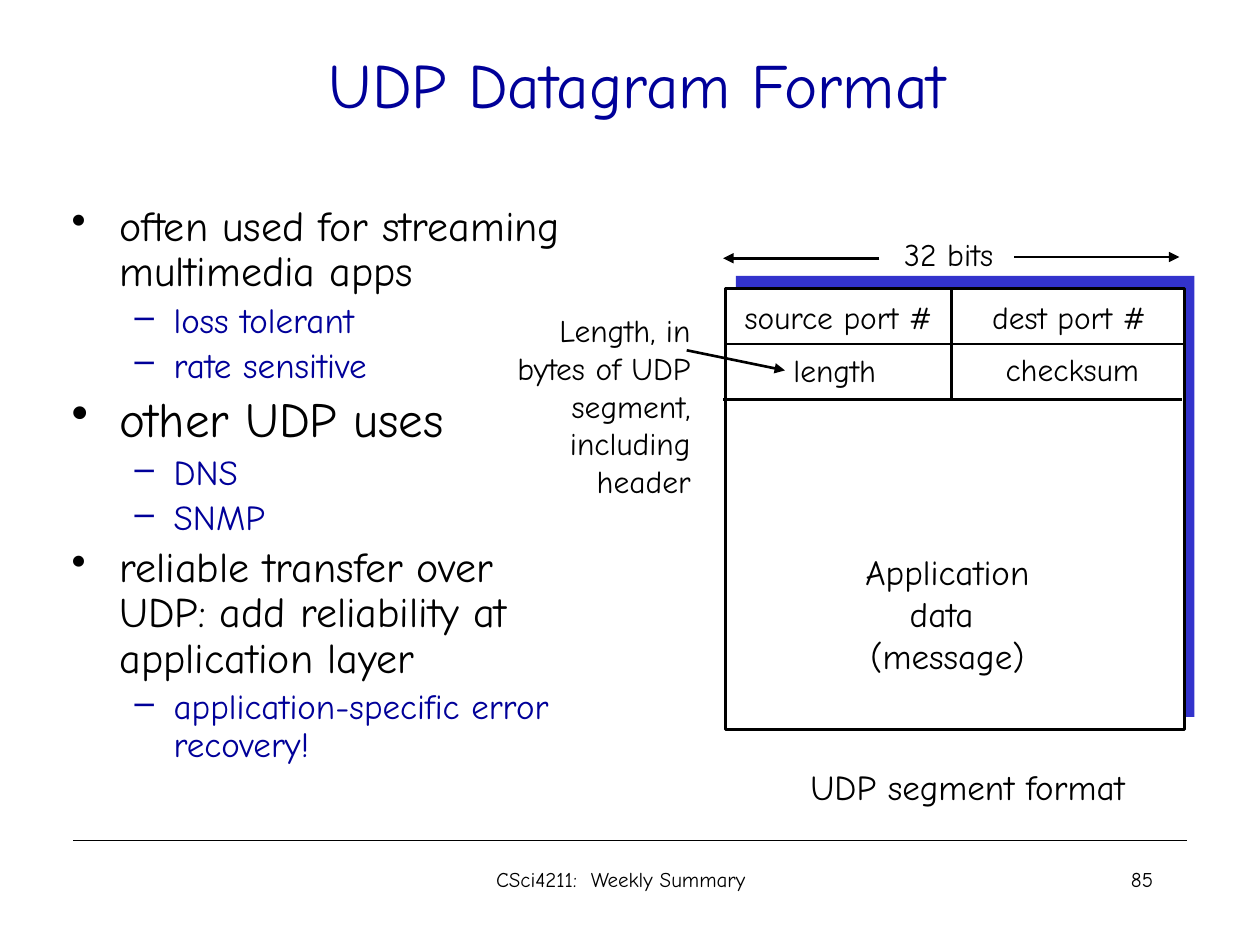
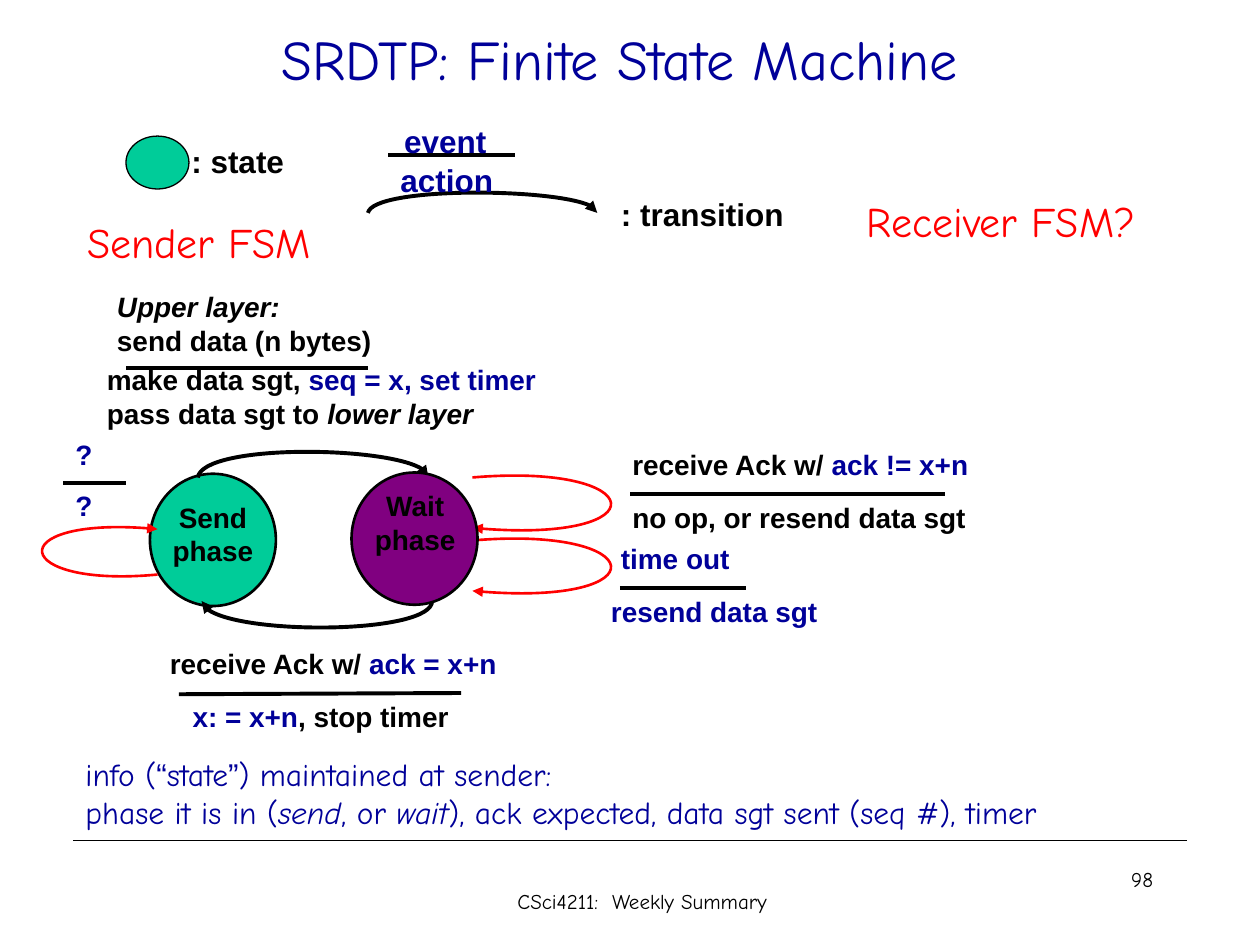
from lxml.etree import SubElement
from pptx import Presentation
from pptx.dml.color import RGBColor
from pptx.enum.shapes import MSO_CONNECTOR, MSO_SHAPE
from pptx.enum.text import MSO_ANCHOR, PP_ALIGN
from pptx.oxml.ns import qn
from pptx.util import Inches, Pt

BLACK, NAVY, RED = "000000", "000099", "FF0000"
GREEN, PURPLE, BLUE, WHITE = "00CC99", "800080", "3333CC", "FFFFFF"
HAND, SANS = "Comic Neue", "Arial"
LEFT, CENTER, RIGHT = PP_ALIGN.LEFT, PP_ALIGN.CENTER, PP_ALIGN.RIGHT
blue, italic, upright = {"color": NAVY}, {"italic": True}, {"font": SANS}


def add_text(slide, box, paragraphs, size, font=HAND, color=BLACK, align=LEFT,
             wrap=True, anchor=MSO_ANCHOR.TOP):
    """Add a text box; a paragraph is a string or a list of (text, changes) runs.

    Arial text is bold unless the run changes only the font.
    """
    shape = slide.shapes.add_textbox(*[Inches(length) for length in box])
    frame = shape.text_frame
    frame.word_wrap = wrap
    frame.vertical_anchor = anchor
    for index, runs in enumerate(paragraphs):
        paragraph = frame.add_paragraph() if index else frame.paragraphs[0]
        paragraph.alignment = align
        for text, changes in [(runs, {})] if isinstance(runs, str) else runs:
            run = paragraph.add_run()
            run.text = text
            run.font.name = changes.get("font", font)
            run.font.size = Pt(size)
            run.font.bold = font == SANS
            run.font.italic = changes.get("italic", False)
            run.font.color.rgb = RGBColor.from_string(changes.get("color", color))
    return shape


def draw_line(slide, points, width=1.5, color=BLACK, arrow=None):
    """Draw a straight line from 2 points or a Bezier curve from 4.

    The arrow is "headEnd" (at the first point) or "tailEnd" (at the last).
    """
    corners = [(Inches(x), Inches(y)) for x, y in points]
    if len(corners) == 2:
        shape = slide.shapes.add_connector(MSO_CONNECTOR.STRAIGHT, *corners[0], *corners[1])
    else:
        builder = slide.shapes.build_freeform(*corners[0])
        builder.add_line_segments(corners[1:], close=False)
        shape = builder.convert_to_shape()
        shape.fill.background()
        outline = next(shape._element.iter(qn("a:path")))
        curve = SubElement(outline, qn("a:cubicBezTo"))
        for segment in outline.findall(qn("a:lnTo")):
            curve.append(segment[0])
            outline.remove(segment)
    shape.line.color.rgb = RGBColor.from_string(color)
    shape.line.width = Pt(width)
    if arrow:
        SubElement(shape.line._get_or_add_ln(), qn("a:" + arrow), type="triangle")
    SubElement(shape._element.spPr, qn("a:effectLst"))


presentation = Presentation()
presentation.slide_width, presentation.slide_height = Inches(10), Inches(7.5)

# Title, rule, footer and number on both slides
slides = []
for title, title_box, title_size, number, footer_left, footer_top in [
    ("UDP Datagram Format ", (0.58, 0.25, 9.12, 0.83), 36, "85", 3.33, 6.83),
    ("SRDTP: Finite State Machine", (0.67, 0, 8.5, 0.92), 32, "98", 3.5, 7),
]:
    slide = presentation.slides.add_slide(presentation.slide_layouts[6])
    slides.append(slide)
    draw_line(slide, [(0.58, 6.67), (9.42, 6.67)], 0.75)
    add_text(slide, title_box, [title], title_size, color=NAVY, align=CENTER,
             anchor=MSO_ANCHOR.MIDDLE)
    add_text(slide, (7.17, 6.83, 2.08, 0.5), [number], 12, align=RIGHT)
    add_text(slide, (footer_left, footer_top, 3.25, 0.5),
             ["CSci4211:  Weekly Summary "], 12, align=CENTER)
datagram_slide, machine_slide = slides

# Slide 1: bullets
bullets = [
    (0, 24, "often used for streaming multimedia apps"),
    (1, 20, "loss tolerant"),
    (1, 20, "rate sensitive"),
    (0, 28, "other UDP uses"),
    (1, 20, "DNS"),
    (1, 20, "SNMP"),
    (0, 24, "reliable transfer over UDP: add reliability at application layer"),
    (1, 20, "application-specific error recovery!"),
]
body = add_text(datagram_slide, (0.47, 1.58, 4.17, 5.08), [text for _, _, text in bullets], 20)
for paragraph, (level, size, _) in zip(body.text_frame.paragraphs, bullets):
    paragraph.level = level
    paragraph.line_spacing = 0.9
    paragraph.space_before = Pt(size * 0.2)
    paragraph.runs[0].font.size = Pt(size)
    paragraph.runs[0].font.color.rgb = RGBColor.from_string([BLACK, NAVY][level])
    properties = paragraph._p.get_or_add_pPr()
    properties.set("marL", str(Inches([0.38, 0.81][level])))
    properties.set("indent", str(-Inches([0.38, 0.31][level])))
    SubElement(properties, qn("a:buChar"), char="•–"[level])

# Slide 1: segment diagram
for left, top, fill in [(5.84, 2.19, BLUE), (5.76, 2.29, WHITE)]:
    segment_box = datagram_slide.shapes.add_shape(
        MSO_SHAPE.RECTANGLE, Inches(left), Inches(top), Inches(3.64), Inches(3.5))
    segment_box.shadow.inherit = False
    segment_box.fill.solid()
    segment_box.fill.fore_color.rgb = RGBColor.from_string(fill)
    segment_box.line.fill.background()
segment_box.line.color.rgb = RGBColor.from_string(BLACK)
segment_box.line.width = Pt(1.5)

for start, end, arrow in [
    ((5.75, 2.73), (9.39, 2.73), None),
    ((5.74, 3.17), (9.38, 3.17), None),
    ((7.55, 2.29), (7.55, 3.17), None),
    ((8.05, 2.04), (9.36, 2.04), "tailEnd"),
    ((6.98, 2.05), (5.74, 2.05), "tailEnd"),
    ((5.45, 2.78), (6.23, 2.94), "tailEnd"),
]:
    draw_line(datagram_slide, [start, end], arrow=arrow)

for box, lines, size, align in [
    ((5.74, 2.32, 1.83, 0.4), ["source port #"], 18, CENTER),
    ((7.69, 2.32, 1.59, 0.4), ["dest port #"], 18, CENTER),
    ((6.16, 2.74, 0.93, 0.4), ["length"], 18, CENTER),
    ((7.85, 2.73, 1.32, 0.4), ["checksum"], 18, CENTER),
    ((7.01, 1.82, 1.04, 0.4), ["32 bits"], 18, CENTER),
    ((6.7, 4.32, 1.64, 1.1), ["Application", "data ", "(message)"], 20, CENTER),
    ((6.23, 6.03, 2.9, 0.43), ["UDP segment format"], 20, CENTER),
    ((3.82, 2.42, 1.76, 1.6),
     ["Length, in", "bytes of UDP", "segment,", "including", "header"], 18, RIGHT),
]:
    add_text(datagram_slide, box, lines, size, align=align, wrap=False)

# Slide 2: states, each followed by the transitions drawn over it
legend_arc = ([(2.92, 1.69), (2.96, 1.48), (4.74, 1.49), (4.74, 1.69)], 2.25, BLACK, "tailEnd")
send_arcs = [
    ([(1.57, 3.79), (1.61, 3.52), (3.4, 3.54), (3.4, 3.79)], 2.25, BLACK, "tailEnd"),
    ([(1.6, 4.77), (1.64, 5.05), (3.43, 5.03), (3.43, 4.77)], 2.25, BLACK, "headEnd"),
    ([(1.25, 4.56), (0.08, 4.67), (0, 4.08), (1.25, 4.2)], 1.5, RED, "tailEnd"),
]
wait_loops = [
    ([(3.75, y + 0.12), (5.16, y), (5.25, y + 0.66), (3.75, y + 0.52)], 1.5, RED, "tailEnd")
    for y in (3.67, 4.17)
]
for box, fill, width, curves in [
    ((1, 1.08, 0.5, 0.42), GREEN, 0.75, [legend_arc]),
    ((1.19, 3.76, 1, 1.05), GREEN, 1.5, send_arcs + wait_loops),
    ((2.79, 3.75, 1, 1.05), PURPLE, 1.5, []),
]:
    state = machine_slide.shapes.add_shape(MSO_SHAPE.OVAL, *[Inches(length) for length in box])
    state.shadow.inherit = False
    state.fill.solid()
    state.fill.fore_color.rgb = RGBColor.from_string(fill)
    state.line.color.rgb = RGBColor.from_string(BLACK)
    state.line.width = Pt(width)
    for curve in curves:
        draw_line(machine_slide, *curve)

# Slide 2: bars between event and action
for start, end in [
    ((3.08, 1.23), (4.09, 1.23)),
    ((1, 2.92), (2.92, 2.92)),
    ((1.42, 5.51), (3.66, 5.5)),
    ((5, 3.92), (7.5, 3.92)),
    ((4.92, 4.67), (5.92, 4.67)),
    ((0.5, 3.83), (1, 3.83)),
]:
    draw_line(machine_slide, [start, end], 2.25)

# Slide 2: labels
for box, lines, size, color, align in [
    ((1.42, 1.08, 1.79, 0.44), [": state"], 18, BLACK, LEFT),
    ((4.83, 1.5, 1.58, 0.44), [": transition"], 18, BLACK, LEFT),
    ((3.11, 0.92, 1.3, 0.33), ["event"], 18, NAVY, LEFT),
    ((3.08, 1.23, 1.58, 0.33), ["action"], 18, NAVY, LEFT),
    ((0.83, 2.25, 2.25, 0.47),
     [[("Upper layer:", italic)], "send data (n bytes)"], 16, BLACK, LEFT),
    ((0.75, 2.83, 4, 0.75),
     [[("make data sgt, ", {}), ("seq = x, set timer", blue)],
      [("pass data sgt to ", {}), ("lower layer", italic)]], 16, BLACK, LEFT),
    ((1.08, 3.92, 1.22, 0.67), ["Send", "phase"], 16, BLACK, CENTER),
    ((2.75, 3.83, 1.09, 0.67), ["Wait", "phase"], 16, BLACK, CENTER),
    ((4.92, 3.5, 3.6, 0.31),
     [[("receive Ack w/ ", {}), ("ack != x+n", blue)]], 16, BLACK, LEFT),
    ((4.92, 3.92, 3.33, 0.44), ["no op, or resend data sgt"], 16, BLACK, LEFT),
    ((4.83, 4.25, 3.6, 0.31), ["time out"], 16, NAVY, LEFT),
    ((4.75, 4.67, 1.92, 0.44), ["resend data sgt"], 16, NAVY, LEFT),
    ((1.25, 5.08, 3.6, 0.31),
     [[("receive Ack w/ ", {}), ("ack = x+n", blue)]], 16, BLACK, LEFT),
    ((1.42, 5.5, 2.31, 0.37),
     [[("x: = x+n", blue), (", stop timer ", {})]], 16, BLACK, CENTER),
    ((0.5, 3.42, 0.33, 0.44), ["?"], 16, NAVY, LEFT),
    ((0.5, 3.83, 0.33, 0.44), ["?"], 16, NAVY, LEFT),
]:
    add_text(machine_slide, box, lines, size, SANS, color, align, wrap=align == LEFT)

for box, heading in [
    ((0.5, 1.67, 2.16, 0.5), "Sender FSM"),
    ((6.67, 1.5, 2.55, 0.5), "Receiver FSM?"),
]:
    add_text(machine_slide, box, [heading], 24, color=RED, align=CENTER, wrap=False)

add_text(machine_slide, (0.58, 5.92, 9, 0.75), [
    [("info (", {}), ("“", upright), ("state", {}), ("”", upright),
     (") maintained at sender:", {})],
    [("phase it is in (", {}), ("send", italic), (", or ", {}), ("wait", italic),
     ("), ack expected, data sgt sent (seq #), timer", {})],
], 18, color=NAVY, anchor=MSO_ANCHOR.MIDDLE)

presentation.save("out.pptx")
